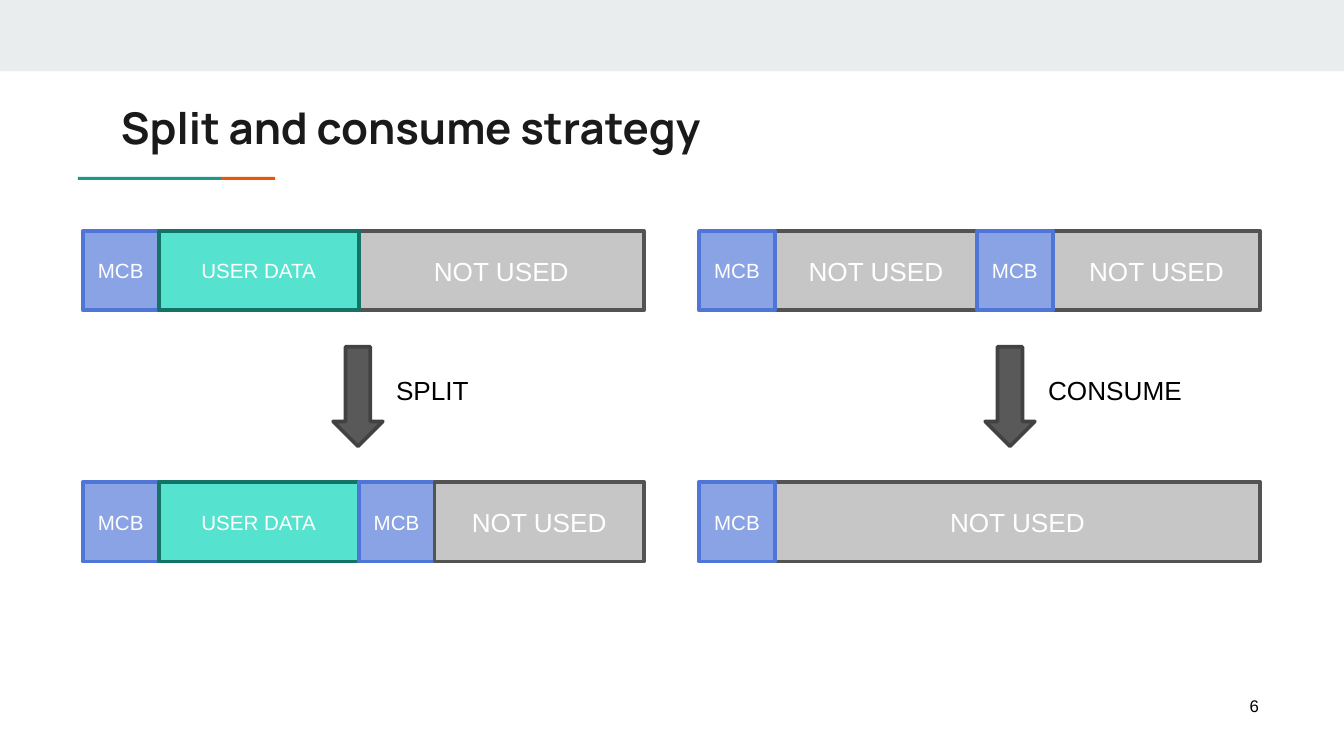
from pptx import Presentation
from pptx.dml.color import RGBColor
from pptx.enum.shapes import MSO_SHAPE
from pptx.enum.text import MSO_ANCHOR, PP_ALIGN
from pptx.util import Pt

RECTANGLE, DOWN_ARROW = MSO_SHAPE.RECTANGLE, MSO_SHAPE.DOWN_ARROW
TOP, MIDDLE = MSO_ANCHOR.TOP, MSO_ANCHOR.MIDDLE
LEFT, CENTER = PP_ALIGN.LEFT, PP_ALIGN.CENTER

WHITE = RGBColor(0xFF, 0xFF, 0xFF)
BLACK = RGBColor(0x00, 0x00, 0x00)
INK = RGBColor(0x1A, 0x1A, 0x1A)
BAND = RGBColor(0xE9, 0xED, 0xEE)
TEAL = RGBColor(0x1A, 0x99, 0x88)
ORANGE = RGBColor(0xEB, 0x56, 0x00)
BLUE, BLUE_EDGE = RGBColor(0x8A, 0xA3, 0xE4), RGBColor(0x4F, 0x75, 0xD6)
MINT, MINT_EDGE = RGBColor(0x55, 0xE2, 0xCF), RGBColor(0x13, 0x73, 0x66)
GRAY, GRAY_EDGE = RGBColor(0xC6, 0xC6, 0xC6), RGBColor(0x53, 0x53, 0x53)
ARROW, ARROW_EDGE = RGBColor(0x59, 0x59, 0x59), RGBColor(0x42, 0x42, 0x42)

SLIDE_WIDTH, SLIDE_HEIGHT = 720, 405
MCB, USER_DATA, NOT_USED = "MCB", "USER DATA", "NOT USED"
CELL_STYLES = {
    MCB: (BLUE, BLUE_EDGE, 11),
    USER_DATA: (MINT, MINT_EDGE, 11),
    NOT_USED: (GRAY, GRAY_EDGE, 14),
}
MCB_WIDTH, USER_WIDTH, FREED_WIDTH = 40.6, 107.2, 108.3
ROW_WIDTH, ROW_HEIGHT, ROW_STEP = 300.6, 42.5, 134.5
ARROW_WIDTH, ARROW_HEIGHT, ARROW_OFFSET = 26.6, 53.3, 62


def write_text(shape, text, size=14, font="Arial", color=BLACK, bold=False,
               align=LEFT, anchor=TOP, wrap=True):
    frame = shape.text_frame
    frame.word_wrap = wrap
    frame.vertical_anchor = anchor
    paragraph = frame.paragraphs[0]
    paragraph.alignment = align
    run = paragraph.add_run()
    run.text = text
    run.font.size = Pt(size)
    run.font.name = font
    run.font.bold = bold
    run.font.color.rgb = color


def add_block(slide, kind, left, top, width, height, fill, edge=None):
    shape = slide.shapes.add_shape(kind, Pt(left), Pt(top), Pt(width), Pt(height))
    shape.shadow.inherit = False
    shape.fill.solid()
    shape.fill.fore_color.rgb = fill
    if edge is None:
        shape.line.fill.background()
    else:
        shape.line.color.rgb = edge
        shape.line.width = Pt(2)
    return shape


def add_label(slide, text, left, top, width, height, **text_format):
    box = slide.shapes.add_textbox(Pt(left), Pt(top), Pt(width), Pt(height))
    write_text(box, text, **text_format)


def add_header(slide, left, top, width, height):
    add_block(slide, RECTANGLE, 0, 0, SLIDE_WIDTH, 38.2, BAND)
    add_block(slide, RECTANGLE, 41.8, 94.8, 76.6, 1.6, TEAL)
    add_block(slide, RECTANGLE, 118.4, 94.8, 29, 1.6, ORANGE)
    title = slide.shapes.title
    title.left, title.top, title.width, title.height = Pt(left), Pt(top), Pt(width), Pt(height)
    frame = title.text_frame
    frame.margin_left = frame.margin_right = frame.margin_top = frame.margin_bottom = Pt(7.2)
    write_text(title, "Split and consume strategy", size=23.4, font="Manrope",
               color=INK, bold=True)


def add_memory_row(slide, left, top, cells, free_on_top=False):
    right = left + ROW_WIDTH
    placed = []
    for name, width in cells:
        width = width or right - left
        placed.append((name, left, width))
        left += width
    if not free_on_top:
        placed.sort(key=lambda cell: cell[0] != NOT_USED)
    for name, cell_left, width in placed:
        fill, edge, size = CELL_STYLES[name]
        cell = add_block(slide, RECTANGLE, cell_left, top, width, ROW_HEIGHT, fill, edge)
        write_text(cell, name, size=size, color=WHITE, align=CENTER, anchor=MIDDLE, wrap=False)


def add_strategy(slide, left, top, label, arrow_left, before, after):
    add_memory_row(slide, left, top, before)
    add_memory_row(slide, left, top + ROW_STEP, after, free_on_top=len(after) > 2)
    arrow_top = top + ARROW_OFFSET
    add_block(slide, DOWN_ARROW, arrow_left, arrow_top, ARROW_WIDTH, ARROW_HEIGHT,
              ARROW, ARROW_EDGE)
    add_label(slide, label, arrow_left + ARROW_WIDTH, arrow_top + 11.5, 95.8, 24.5)


def main():
    presentation = Presentation()
    presentation.slide_width = Pt(SLIDE_WIDTH)
    presentation.slide_height = Pt(SLIDE_HEIGHT)
    slide = presentation.slides.add_slide(presentation.slide_layouts[5])

    add_header(slide, 57.6, 46.8, 605.5, 42.5)
    add_strategy(
        slide, 44.4, 123.8, "SPLIT", 178.5,
        before=[(MCB, MCB_WIDTH), (USER_DATA, USER_WIDTH), (NOT_USED, None)],
        after=[(MCB, MCB_WIDTH), (USER_DATA, USER_WIDTH), (MCB, MCB_WIDTH), (NOT_USED, None)])
    add_strategy(
        slide, 374.5, 123.8, "CONSUME", 527.8,
        before=[(MCB, MCB_WIDTH), (NOT_USED, FREED_WIDTH), (MCB, MCB_WIDTH), (NOT_USED, None)],
        after=[(MCB, MCB_WIDTH), (NOT_USED, None)])
    add_label(slide, "6", 662.4, 369.4, 18.7, 18, size=9)

    presentation.save("out.pptx")


if __name__ == "__main__":
    main()
